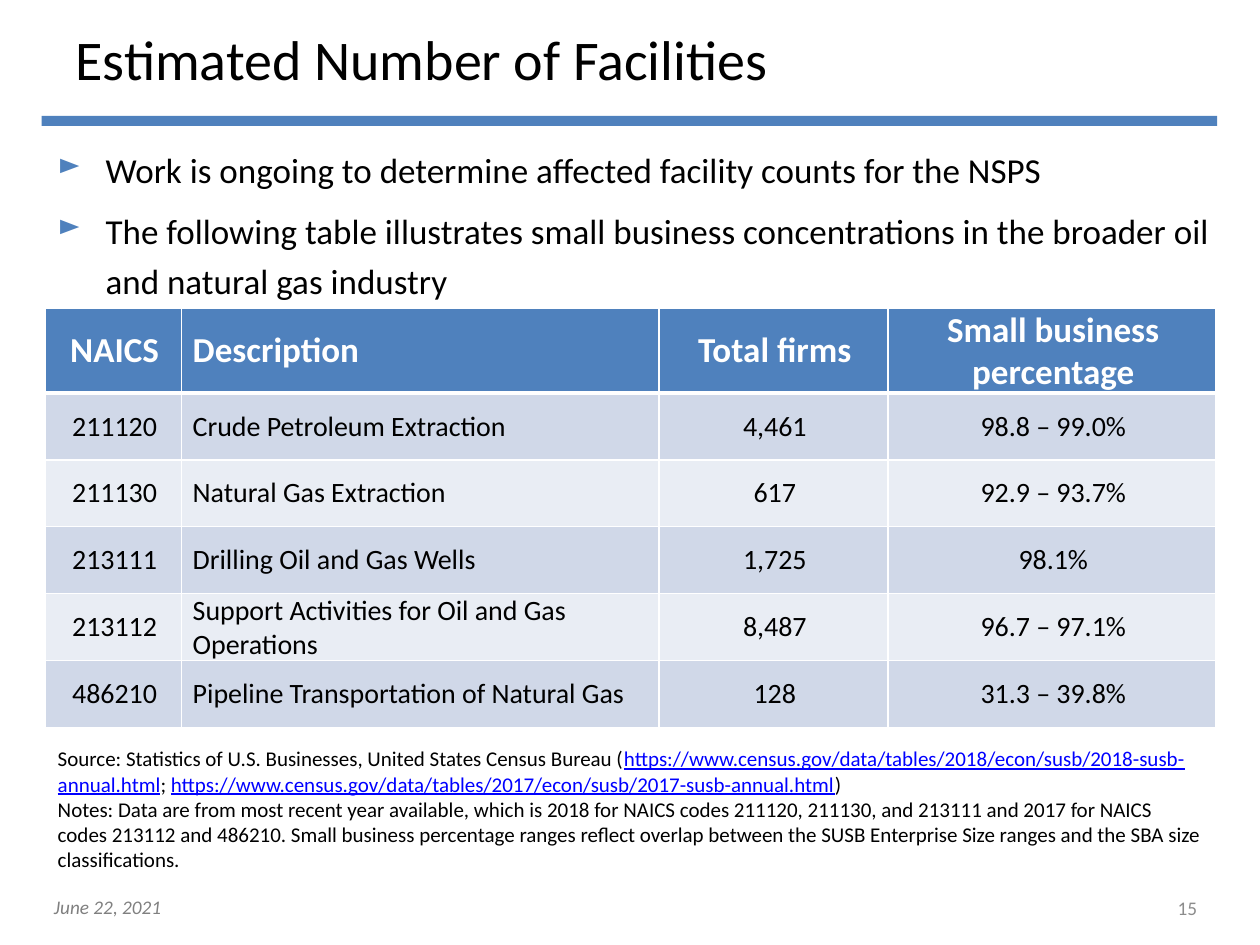
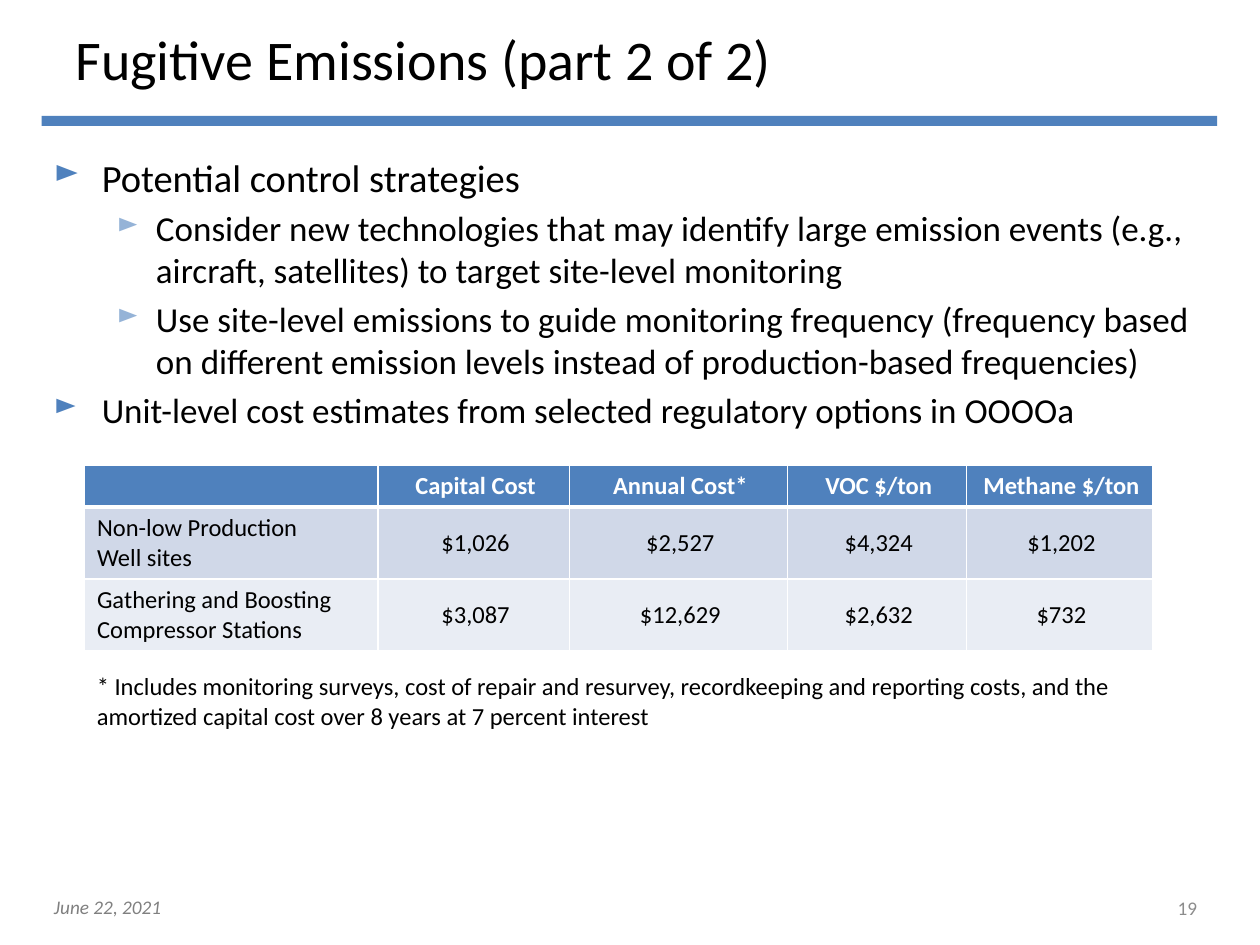
"""Build two slides on facility counts and fugitive emissions."""
from dataclasses import dataclass

from lxml.etree import SubElement
from pptx import Presentation
from pptx.dml.color import RGBColor
from pptx.enum.shapes import MSO_SHAPE as Shape
from pptx.enum.text import MSO_ANCHOR as Anchor, PP_ALIGN as Align
from pptx.oxml.ns import qn
from pptx.slide import Slide
from pptx.text.text import TextFrame, _Paragraph as Paragraph
from pptx.util import Inches, Pt

FONT = "Calibri"
BLACK = RGBColor(0x00, 0x00, 0x00)
WHITE = RGBColor(0xFF, 0xFF, 0xFF)
BLUE = RGBColor(0x4F, 0x81, 0xBD)
LIGHT_BLUE = RGBColor(0x95, 0xB3, 0xD7)
LINK_BLUE = RGBColor(0x00, 0x00, 0xFF)
DATE_GRAY = RGBColor(0x80, 0x80, 0x80)
NUMBER_GRAY = RGBColor(0x8C, 0x8C, 0x8C)
ROW_FILLS = (RGBColor(0xD0, 0xD8, 0xE8), RGBColor(0xE9, 0xED, 0xF4))
CENSUS = "https://www.census.gov/data/tables/"


@dataclass(frozen=True)
class Area:
    """A place on the slide, in inches."""
    left: float
    top: float
    width: float
    height: float


@dataclass(frozen=True)
class BulletStyle:
    """Indent and marker of one bullet level."""
    margin: float
    hang: float
    color: RGBColor
    percent: int


@dataclass(frozen=True)
class Bullet:
    """One bulleted paragraph."""
    text: str
    level: int = 0
    size: int = 20


@dataclass(frozen=True)
class TableStyle:
    """Sizes of a table and the insets of its cells."""
    columns: tuple[float, ...]
    header_height: float
    row_height: float
    header_size: int
    body_size: int
    insets: tuple[float, float]
    left_columns: tuple[int, ...]


BULLET_STYLES = (BulletStyle(0.38, 0.38, BLUE, 85), BulletStyle(0.81, 0.31, LIGHT_BLUE, 80))

FACILITY_STYLE = TableStyle((1.08, 3.79, 1.82, 2.6), 0.67, 0.53, 20, 16, (0.09, 0), (1,))
FACILITY_ROWS = (
    ("NAICS", "Description", "Total firms", "Small business percentage"),
    ("211120", "Crude Petroleum Extraction", "4,461", "98.8 – 99.0%"),
    ("211130", "Natural Gas Extraction", "617", "92.9 – 93.7%"),
    ("213111", "Drilling Oil and Gas Wells", "1,725", "98.1%"),
    ("213112", "Support Activities for Oil and Gas Operations", "8,487", "96.7 – 97.1%"),
    ("486210", "Pipeline Transportation of Natural Gas", "128", "31.3 – 39.8%"),
)
FACILITY_BULLETS = (
    Bullet("Work is ongoing to determine affected facility counts for the NSPS"),
    Bullet("The following table illustrates small business concentrations in the broader oil "
           "and natural gas industry"),
)
SOURCE_SPANS = (
    ("Source: Statistics of U.S. Businesses, United States Census Bureau (", False),
    (CENSUS + "2018/econ/susb/2018-susb-annual.html", True),
    ("; ", False),
    (CENSUS + "2017/econ/susb/2017-susb-annual.html", True),
    (")", False),
)
DATA_NOTES = (
    "Notes: Data are from most recent year available, which is 2018 for NAICS codes 211120, "
    "211130, and 213111 and 2017 for NAICS codes 213112 and 486210. Small business percentage "
    "ranges reflect overlap between the SUSB Enterprise Size ranges and the SBA size "
    "classifications."
)

COST_STYLE = TableStyle((2.33, 1.52, 1.73, 1.42, 1.48), 0.33, 0.57, 14, 14, (0.1, 0.05), (0,))
COST_ROWS = (
    ("", "Capital Cost", "Annual Cost*", "VOC $/ton", "Methane $/ton"),
    ("Non-low Production\nWell sites", "$1,026", "$2,527", "$4,324", "$1,202"),
    ("Gathering and Boosting Compressor Stations", "$3,087", "$12,629", "$2,632", "$732"),
)
COST_BULLETS = (
    Bullet("Potential control strategies", size=22),
    Bullet("Consider new technologies that may identify large emission events (e.g., aircraft, "
           "satellites) to target site-level monitoring", 1),
    Bullet("Use site-level emissions to guide monitoring frequency (frequency based on "
           "different emission levels instead of production-based frequencies)", 1),
    Bullet("Unit-level cost estimates from selected regulatory options in OOOOa"),
)
COST_NOTE = (
    "* Includes monitoring surveys, cost of repair and resurvey, recordkeeping and reporting "
    "costs, and the amortized capital cost over 8 years at 7 percent interest"
)


def add_span(para: Paragraph, text: str, *, size: int, color: RGBColor = BLACK,
             bold: bool = False, italic: bool = False, underline: bool = False) -> None:
    """Add formatted text to a paragraph."""
    span = para.add_run()
    span.text = text
    font = span.font
    font.name, font.size = FONT, Pt(size)
    font.bold, font.italic, font.underline = bold, italic, underline
    font.color.rgb = color


def add_para(frame: TextFrame, text: str = "", *, size: int = 12, align: Align = Align.LEFT,
             **style) -> Paragraph:
    """Add a paragraph, using the empty first one of a frame when it is free."""
    first = frame.paragraphs[0]
    para = frame.add_paragraph() if first.runs else first
    para.alignment = align
    if text:
        add_span(para, text, size=size, **style)
    else:
        SubElement(para._p, qn("a:endParaRPr"), sz=str(size * 100))
    return para


def add_box(page: Slide, area: Area, anchor: Anchor = Anchor.TOP) -> TextFrame:
    """Add a wrapping text box and return its frame."""
    box = page.shapes.add_textbox(Inches(area.left), Inches(area.top),
                                  Inches(area.width), Inches(area.height))
    frame = box.text_frame
    frame.word_wrap = True
    frame.vertical_anchor = anchor
    return frame


def add_bullets(page: Slide, area: Area, bullets: tuple[Bullet, ...], *,
                gap: int, line_spacing: float = 1.0) -> None:
    """Add a bulleted list with an even gap between paragraphs."""
    frame = add_box(page, area)
    for index, bullet in enumerate(bullets):
        style = BULLET_STYLES[bullet.level]
        para = add_para(frame, bullet.text, size=bullet.size)
        para.level = bullet.level
        para.line_spacing = line_spacing
        para.space_before = Pt(gap if index else 0)
        props = para._p.get_or_add_pPr()
        props.set("marL", str(Inches(style.margin)))
        props.set("indent", str(-Inches(style.hang)))
        SubElement(SubElement(props, qn("a:buClr")), qn("a:srgbClr"), val=str(style.color))
        SubElement(props, qn("a:buSzPct"), val=str(style.percent * 1000))
        SubElement(props, qn("a:buChar"), char="►")


def set_borders(cell, top: int, bottom: int) -> None:
    """Give a cell white borders, placed ahead of its fill."""
    props = cell._tc.get_or_add_tcPr()
    for index, (side, width) in enumerate((("L", 1), ("R", 1), ("T", top), ("B", bottom))):
        line = SubElement(props, qn(f"a:ln{side}"), w=str(Pt(width)))
        SubElement(SubElement(line, qn("a:solidFill")), qn("a:srgbClr"), val=str(WHITE))
        props.insert(index, line)


def add_data_table(page: Slide, left: float, top: float, style: TableStyle,
                   rows: tuple[tuple[str, ...], ...]) -> None:
    """Add a table with a blue header and alternating row fills."""
    height = style.header_height + style.row_height * (len(rows) - 1)
    table = page.shapes.add_table(len(rows), len(style.columns), Inches(left), Inches(top),
                                  Inches(sum(style.columns)), Inches(height)).table
    for column, width in zip(table.columns, style.columns):
        column.width = Inches(width)
    side, edge = style.insets
    for row_index, values in enumerate(rows):
        header = row_index == 0
        table.rows[row_index].height = Inches(style.header_height if header else style.row_height)
        for column_index, value in enumerate(values):
            cell = table.cell(row_index, column_index)
            cell.margin_left, cell.margin_right = Inches(side), Inches(0.07)
            cell.margin_top = cell.margin_bottom = Inches(edge)
            cell.vertical_anchor = Anchor.MIDDLE
            cell.fill.solid()
            cell.fill.fore_color.rgb = BLUE if header else ROW_FILLS[(row_index - 1) % 2]
            set_borders(cell, 3 if row_index == 1 else 1, 3 if header else 1)
            for line in value.split("\n"):
                add_para(cell.text_frame, line, bold=header,
                         size=style.header_size if header else style.body_size,
                         color=WHITE if header else BLACK,
                         align=Align.LEFT if column_index in style.left_columns else Align.CENTER)


def add_page(deck, title: str, number: int) -> Slide:
    """Add a slide with its band, title, date and number."""
    page = deck.slides.add_slide(deck.slide_layouts[6])
    band = page.shapes.add_shape(Shape.RECTANGLE, Inches(0.33), Inches(0.92),
                                 Inches(9.33), Inches(0.08))
    band.shadow.inherit = False
    band.fill.solid()
    band.fill.fore_color.rgb = BLUE
    band.line.fill.background()
    add_para(add_box(page, Area(0.33, 7.06, 5.92, 0.29)), "June 22, 2021",
             size=11, color=DATE_GRAY, italic=True)
    add_para(add_box(page, Area(0.5, 0, 9, 0.92), Anchor.MIDDLE), title, size=32)
    add_para(add_box(page, Area(7.27, 7.06, 2.33, 0.29), Anchor.MIDDLE), str(number),
             size=11, color=NUMBER_GRAY, align=Align.RIGHT)
    return page


def add_facilities_page(deck) -> None:
    """Add the slide on facility counts."""
    page = add_page(deck, "Estimated Number of Facilities", 15)
    add_data_table(page, 0.36, 2.45, FACILITY_STYLE, FACILITY_ROWS)
    notes = add_box(page, Area(0.36, 5.87, 9.29, 1.11))
    source = notes.paragraphs[0]
    for text, linked in SOURCE_SPANS:
        add_span(source, text, size=12, color=LINK_BLUE if linked else BLACK, underline=linked)
    add_para(notes, DATA_NOTES, size=12)
    add_bullets(page, Area(0.36, 1.06, 9.5, 1.27), FACILITY_BULLETS, gap=6, line_spacing=1.2)


def add_emissions_page(deck) -> None:
    """Add the slide on fugitive emissions."""
    page = add_page(deck, "Fugitive Emissions (part 2 of 2)", 19)
    add_bullets(page, Area(0.33, 1.17, 9.5, 5.83), COST_BULLETS, gap=4)
    add_data_table(page, 0.67, 3.69, COST_STYLE, COST_ROWS)
    add_para(add_box(page, Area(0.67, 5.28, 8.7, 0.57)), COST_NOTE, size=14)


def main() -> None:
    """Build and save the deck."""
    deck = Presentation()
    deck.slide_width, deck.slide_height = Inches(10), Inches(7.5)
    add_facilities_page(deck)
    add_emissions_page(deck)
    deck.save("out.pptx")


if __name__ == "__main__":
    main()
